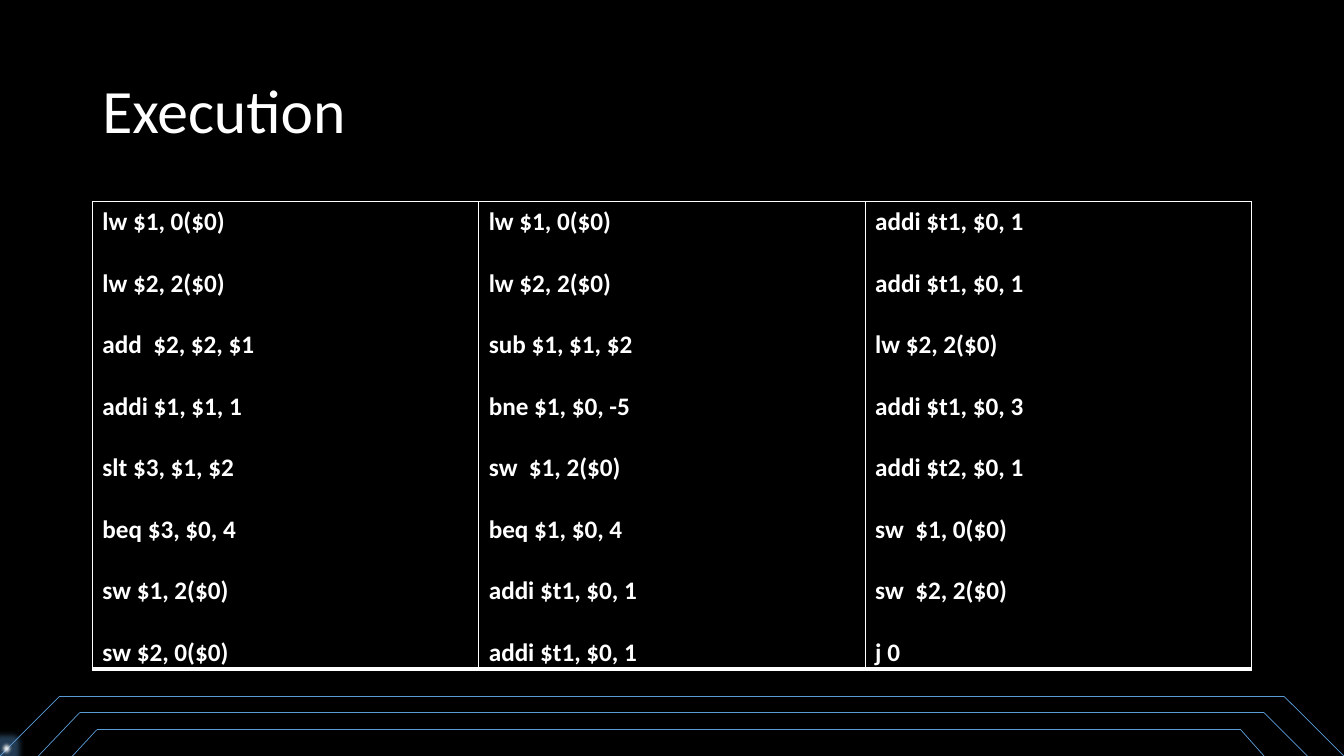
from lxml import etree
from pptx import Presentation, util as u
from pptx.dml.color import RGBColor
from pptx.enum import shapes, text
from pptx.oxml import parse_xml
from pptx.oxml.ns import nsdecls, qn

Pt = u.Pt
TITLE = "Execution"
PROGRAM = [
    ["lw $1, 0($0)", "lw $2, 2($0)", "add  $2, $2, $1", "addi $1, $1, 1",
     "slt $3, $1, $2", "beq $3, $0, 4", "sw $1, 2($0)", "sw $2, 0($0)"],
    ["lw $1, 0($0)", "lw $2, 2($0)", "sub $1, $1, $2", "bne $1, $0, -5",
     "sw  $1, 2($0)", "beq $1, $0, 4", "addi $t1, $0, 1", "addi $t1, $0, 1"],
    ["addi $t1, $0, 1", "addi $t1, $0, 1", "lw $2, 2($0)", "addi $t1, $0, 3",
     "addi $t2, $0, 1", "sw  $1, 0($0)", "sw  $2, 2($0)", "j 0"],
]
COLORS = {"back": "000000", "text": "FFFFFF", "rail": "5B9BD5", "dot_line": "43739E"}
WIDTH, HEIGHT = 960, 540
LEFT, CONTENT_WIDTH = 66, 828
# Rail: height, then x of left foot, left corner, right corner, right foot
RAILS = [(497.5, 0, 42.5, 917.3, 960),
         (509, 27.4, 56.9, 902.9, 933.8),
         (521.3, 51.8, 69.1, 886.3, 902.9)]
BORDERS = {"lnL": 1, "lnR": 1, "lnT": 1, "lnB": 3}


def rgb(name):
    return RGBColor.from_string(COLORS[name])


def paint(fill, name):
    fill.solid()
    fill.fore_color.rgb = rgb(name)


def write(p, words, **font):
    r = p.add_run()
    r.text = words
    r.font.color.rgb = rgb("text")
    for name, value in {"name": "Calibri", **font}.items():
        setattr(r.font, name, value)


def add_title(s):
    tf = s.shapes.add_textbox(Pt(LEFT), Pt(28.8), Pt(CONTENT_WIDTH), Pt(104.4)).text_frame
    tf.word_wrap = True
    tf.vertical_anchor = text.MSO_ANCHOR.MIDDLE
    p = tf.paragraphs[0]
    p.line_spacing = 0.9
    write(p, TITLE, size=Pt(44))


def add_borders(cell):
    tc_pr = cell._tc.get_or_add_tcPr()
    for i, (tag, width) in enumerate(BORDERS.items()):
        tc_pr.insert(i, parse_xml(
            f'<a:{tag} {nsdecls("a")} w="{Pt(width)}"><a:solidFill>'
            f'<a:srgbClr val="{COLORS["text"]}"/></a:solidFill></a:{tag}>'))


def add_program(s):
    table = s.shapes.add_table(1, len(PROGRAM), Pt(LEFT), Pt(144),
                               Pt(CONTENT_WIDTH), Pt(331)).table
    for cell, lines in zip(table.rows[0].cells, PROGRAM):
        paint(cell.fill, "back")
        add_borders(cell)
        tf = cell.text_frame
        for i, line in enumerate(lines):
            p = tf.add_paragraph() if i else tf.paragraphs[0]
            p.space_before = Pt(22 if i else 0)
            write(p, line, size=Pt(18), bold=True)


def add_rail(s, y, *xs):
    points = list(zip(xs, (HEIGHT, y, y, HEIGHT)))
    for start, end in zip(points, points[1:]):
        line = s.shapes.add_connector(shapes.MSO_CONNECTOR.STRAIGHT,
                                      *map(Pt, start + end))
        line.line.color.rgb = rgb("rail")
        line.line.width = Pt(0.5)
        etree.SubElement(line._element.spPr, qn("a:effectLst"))


def add_glowing_dot(s):
    sp = s.shapes.add_shape(shapes.MSO_SHAPE.OVAL, 0, Pt(529.2), Pt(9.4), Pt(10.8))
    paint(sp.fill, "text")
    sp.line.color.rgb = rgb("dot_line")
    sp.line.width = Pt(1)
    sp._element.spPr.append(parse_xml(
        f'<a:effectLst {nsdecls("a")}><a:glow rad="{Pt(8)}">'
        f'<a:srgbClr val="{COLORS["rail"]}"><a:alpha val="40000"/></a:srgbClr></a:glow>'
        f'<a:softEdge rad="{Pt(2.5)}"/></a:effectLst>'))


def main():
    prs = Presentation()
    prs.slide_width, prs.slide_height = Pt(WIDTH), Pt(HEIGHT)
    s = prs.slides.add_slide(prs.slide_layouts[6])
    paint(s.background.fill, "back")
    add_title(s)
    add_program(s)
    for rail in RAILS:
        add_rail(s, *rail)
    add_glowing_dot(s)
    prs.save("out.pptx")


if __name__ == "__main__":
    main()
